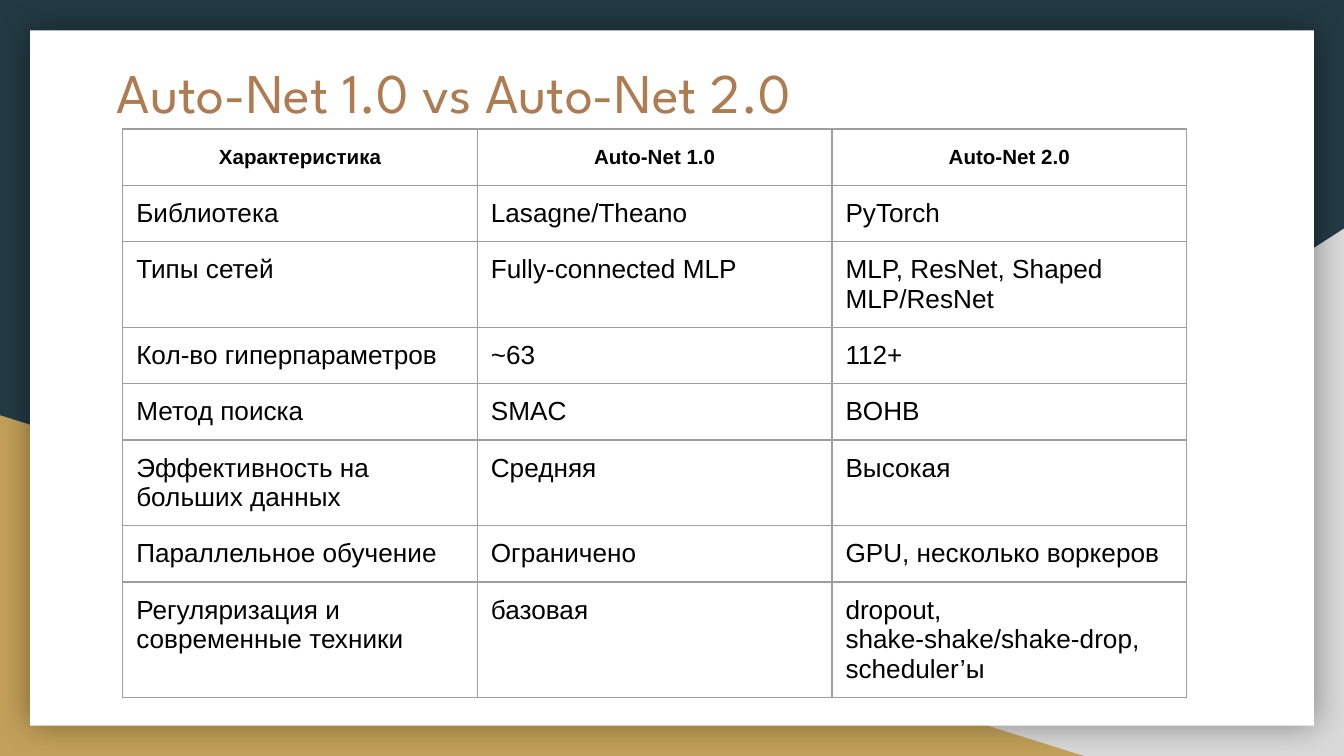
"""Build a slide comparing Auto-Net 1.0 and Auto-Net 2.0 in a table."""
from lxml.etree import SubElement
from pptx import Presentation
from pptx.dml.color import RGBColor
from pptx.enum.shapes import MSO_SHAPE as Preset
from pptx.enum.text import MSO_ANCHOR as Anchor, MSO_AUTO_SIZE as AutoSize, PP_ALIGN as Align
from pptx.oxml.ns import qn
from pptx.util import Pt

TITLE = "Auto-Net 1.0 vs Auto-Net 2.0"
ROWS = [
    ("Характеристика", "Auto-Net 1.0", "Auto-Net 2.0"),
    ("Библиотека", "Lasagne/Theano", "PyTorch"),
    ("Типы сетей", "Fully-connected MLP", "MLP, ResNet, Shaped MLP/ResNet"),
    ("Кол-во гиперпараметров", "~63", "112+"),
    ("Метод поиска", "SMAC", "BOHB"),
    ("Эффективность на больших данных", "Средняя", "Высокая"),
    ("Параллельное обучение", "Ограничено", "GPU, несколько воркеров"),
    ("Регуляризация и современные техники", "базовая",
     "dropout, shake-shake/shake-drop, scheduler’ы"),
]
NAVY, GREY, GOLD, WHITE = "233A44", "D9D9D9", "C4A15A", "FFFFFF"
COPPER, BLACK, RULE = "AF7B51", "000000", "9E9E9E"
COLUMN_WIDTH, ROW_HEIGHT, INSET = 190, 30.2, 7.2


def paint(target, colour):
    fill = target.fill
    fill.solid()
    fill.fore_color.rgb = RGBColor.from_string(colour)


def add_panel(slide, preset, box, colour):
    panel = slide.shapes.add_shape(preset, *map(Pt, box))
    panel.shadow.inherit = False
    panel.line.fill.background()
    paint(panel, colour)
    return panel


def add_glow(panel):
    effects = panel._element.spPr.find(qn("a:effectLst"))
    glow = SubElement(effects, qn("a:outerShdw"), blurRad=str(Pt(18)), dist="0",
                      dir="0", algn="ctr", rotWithShape="0")
    shade = SubElement(glow, qn("a:srgbClr"), val=BLACK)
    SubElement(shade, qn("a:alpha"), val="40000")


def write(frame, text, face, size, colour, bold=False):
    frame.word_wrap = True
    paragraph = frame.paragraphs[0]
    run = paragraph.add_run()
    run.text = text
    font = run.font
    font.name, font.size, font.bold = face, Pt(size), bold
    paint(font, colour)
    return paragraph


def set_insets(holder):
    holder.margin_left = holder.margin_right = Pt(INSET)
    holder.margin_top = holder.margin_bottom = Pt(INSET)


def add_borders(cell):
    properties = cell._tc.get_or_add_tcPr()
    for side in ("lnL", "lnR", "lnT", "lnB"):
        border = SubElement(properties, qn(f"a:{side}"), w=str(Pt(0.75)))
        solid = SubElement(border, qn("a:solidFill"))
        SubElement(solid, qn("a:srgbClr"), val=RULE)


def add_comparison(slide):
    columns = len(ROWS[0])
    table = slide.shapes.add_table(
        len(ROWS), columns, Pt(65.8), Pt(69.1),
        Pt(COLUMN_WIDTH * columns), Pt(ROW_HEIGHT * len(ROWS))).table
    table.first_row = table.horz_banding = False
    for column in table.columns:
        column.width = Pt(COLUMN_WIDTH)
    for index, values in enumerate(ROWS):
        table.rows[index].height = Pt(ROW_HEIGHT)
        header = index == 0
        for cell, value in zip(table.rows[index].cells, values):
            set_insets(cell)
            add_borders(cell)
            cell.fill.background()
            paragraph = write(cell.text_frame, value, "Arial", 11 if header else 14, BLACK, header)
            if header:
                paragraph.alignment = Align.CENTER
                paragraph.line_spacing = 1.15


def main():
    deck = Presentation()
    deck.slide_width, deck.slide_height = Pt(720), Pt(405)
    slide = deck.slides.add_slide(deck.slide_layouts[5])
    paint(slide.background, NAVY)

    grey_corner = add_panel(slide, Preset.RIGHT_TRIANGLE, (282, 122.5, 438, 282.5), GREY)
    grey_corner._element.spPr.xfrm.set("flipH", "1")
    add_panel(slide, Preset.RIGHT_TRIANGLE, (0, 222.5, 580.5, 182.5), GOLD)
    add_glow(add_panel(slide, Preset.RECTANGLE, (16.1, 16.2, 687.8, 372.6), WHITE))

    title = slide.shapes.title
    slide.shapes._spTree.append(title._element)
    title.left, title.top, title.width, title.height = map(Pt, (55.4, 20.2, 591, 56.9))
    frame = title.text_frame
    set_insets(frame)
    frame.auto_size = AutoSize.NONE
    frame.vertical_anchor = Anchor.MIDDLE
    write(frame, TITLE, "League Spartan", 30, COPPER).alignment = Align.LEFT

    add_comparison(slide)
    deck.save("out.pptx")


if __name__ == "__main__":
    main()
